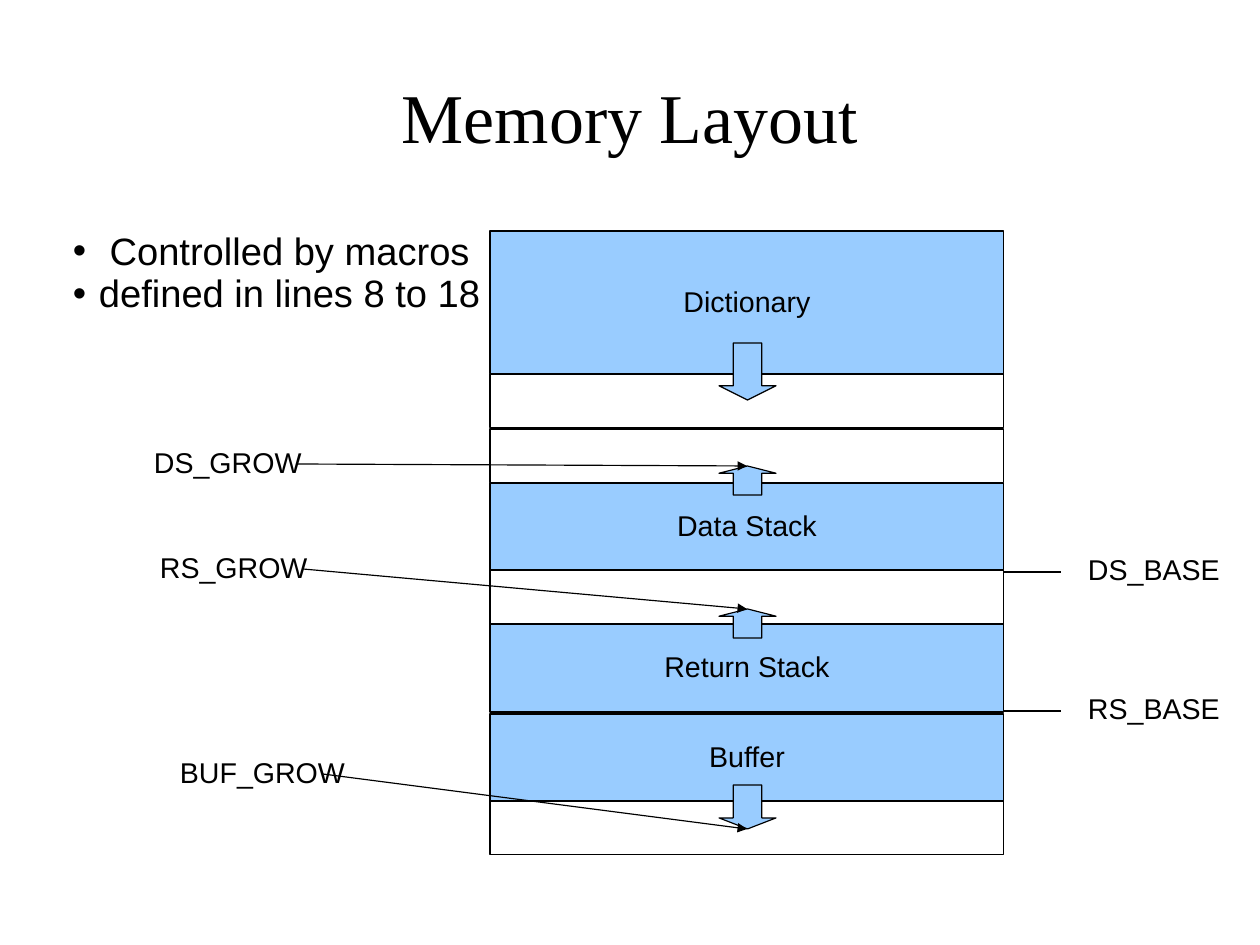
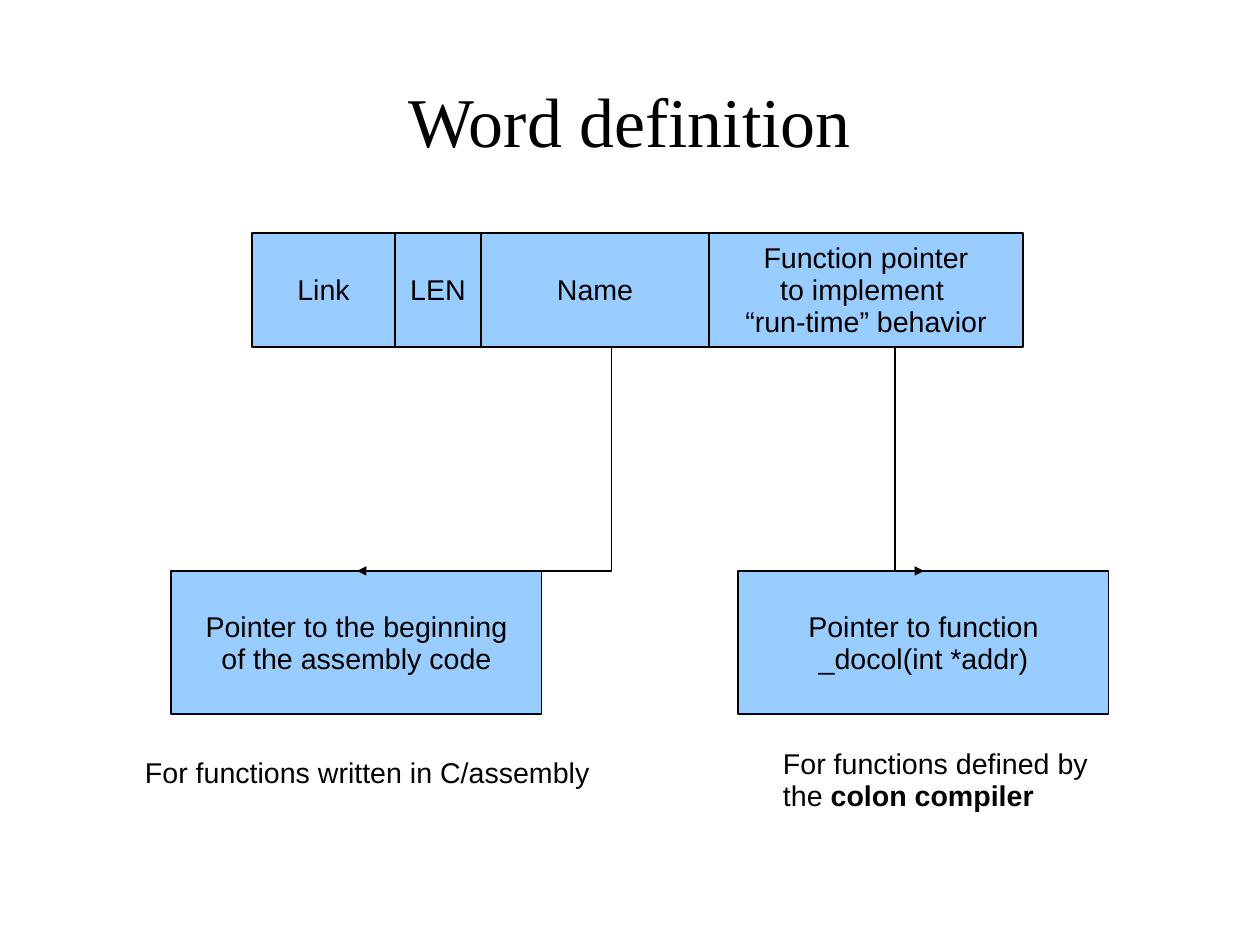
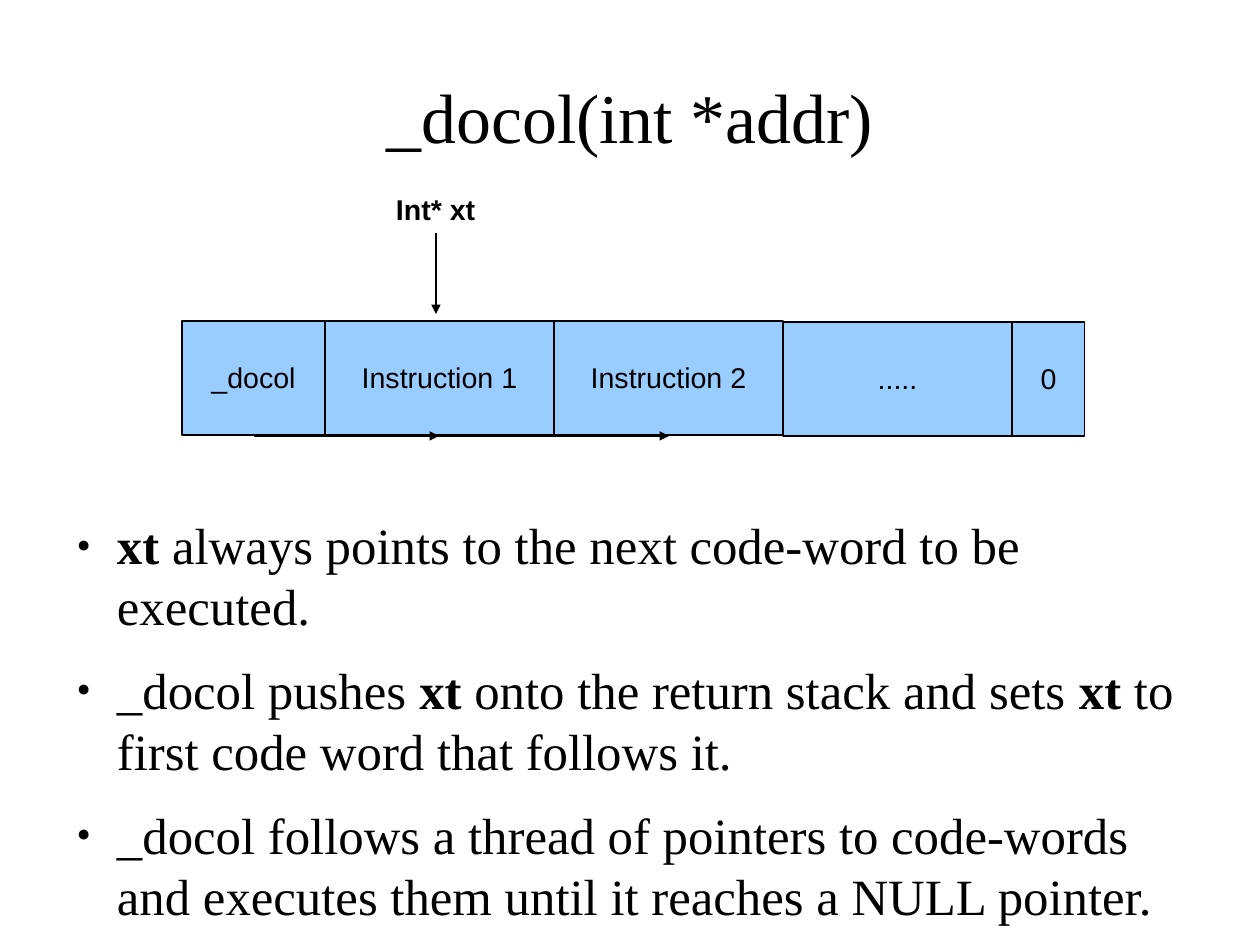
import pptx
import pptx.dml.color
import pptx.enum.shapes
import pptx.enum.text
import pptx.oxml
import pptx.oxml.ns
import pptx.util

PX = 8000
BLACK = pptx.dml.color.RGBColor(0x00, 0x00, 0x00)
WHITE = pptx.dml.color.RGBColor(0xFF, 0xFF, 0xFF)
SKY = pptx.dml.color.RGBColor(0x99, 0xCC, 0xFF)

SHAPES = pptx.enum.shapes.MSO_SHAPE
CONNECTORS = pptx.enum.shapes.MSO_CONNECTOR
CENTER = pptx.enum.text.PP_ALIGN.CENTER
LEFT = pptx.enum.text.PP_ALIGN.LEFT
MIDDLE = pptx.enum.text.MSO_ANCHOR.MIDDLE
TOP = pptx.enum.text.MSO_ANCHOR.TOP

TITLE_FONT = {"name": "Times New Roman", "size": pptx.util.Pt(44)}
BODY_FONT = {"name": "Times New Roman", "size": pptx.util.Pt(32)}
LABEL_FONT = {"name": "Arial", "size": pptx.util.Pt(18)}
NOTE_FONT = {"name": "Arial", "size": pptx.util.Pt(24)}
TIGHT = {"line_spacing": 0.93, "alignment": LEFT}
TIGHT_CENTER = {"line_spacing": 0.93, "alignment": CENTER}
LABEL_INSETS = (11, 6, 11, 6)
CELL_INSETS = (11, 8, 11, 6)


def px(*lengths):
    """Turn px lengths into EMU."""
    return [pptx.util.Emu(length * PX) for length in lengths]


def assign(target, formats):
    """Set every attribute named in a dict of format values."""
    for name, value in formats.items():
        setattr(target, name, value)


def append_xml(parent, tag, attributes="", content=""):
    """Append one drawing element to a parent element."""
    namespace = pptx.oxml.ns.nsdecls("a")
    parent.append(pptx.oxml.parse_xml(f"<a:{tag} {namespace} {attributes}>{content}</a:{tag}>"))


def set_bullet(paragraph, typeface, glyph, percent, margin, indent):
    """Give a paragraph a bullet and a hanging indent."""
    properties = paragraph._p.get_or_add_pPr()
    properties.set("marL", str(margin * PX))
    properties.set("indent", str(-indent * PX))
    append_xml(properties, "buClr", content=f'<a:srgbClr val="{BLACK}"/>')
    append_xml(properties, "buSzPct", f'val="{percent * 1000}"')
    append_xml(properties, "buFont", f'typeface="{typeface}"')
    append_xml(properties, "buChar", f'char="{glyph}"')


def write_text(shape, lines, font, layout, insets, anchor, wrap=False, bullet=None):
    """Fill a shape with paragraphs; text between double asterisks is bold."""
    frame = shape.text_frame
    sides = ("margin_left", "margin_top", "margin_right", "margin_bottom")
    assign(frame, dict(zip(sides, px(*insets))))
    assign(frame, {"word_wrap": wrap, "vertical_anchor": anchor})
    for number, line in enumerate(lines):
        paragraph = frame.add_paragraph() if number else frame.paragraphs[0]
        assign(paragraph, layout)
        if bullet:
            set_bullet(paragraph, font["name"], **bullet)
        for index, part in enumerate(line.split("**")):
            if part:
                run = paragraph.add_run()
                run.text = part
                assign(run.font, {**font, "bold": index % 2 == 1})
                run.font.color.rgb = BLACK


def add_text(slide, box, lines, font=LABEL_FONT, layout=TIGHT, insets=LABEL_INSETS,
             anchor=TOP, **options):
    """Add a text box."""
    shape = slide.shapes.add_textbox(*px(*box))
    write_text(shape, lines, font, layout, insets, anchor, **options)


def add_block(slide, box, lines=(), fill=SKY, preset=SHAPES.RECTANGLE, insets=CELL_INSETS):
    """Add an outlined preset shape with centred text."""
    shape = slide.shapes.add_shape(preset, *px(*box))
    shape.shadow.inherit = False
    shape.fill.solid()
    shape.fill.fore_color.rgb = fill
    shape.line.color.rgb = BLACK
    shape.line.width = pptx.util.Pt(0.75)
    if lines:
        write_text(shape, lines, LABEL_FONT, TIGHT_CENTER, insets, MIDDLE)
    return shape


def add_line(slide, start, end, arrow=True, kind=CONNECTORS.STRAIGHT):
    """Add a black connector, by default with an arrowhead at its end."""
    connector = slide.shapes.add_connector(kind, *px(*start, *end))
    connector.line.color.rgb = BLACK
    connector.line.width = pptx.util.Pt(0.75)
    if arrow:
        append_xml(connector.line._get_or_add_ln(), "tailEnd", 'type="triangle"')
    append_xml(connector._element.spPr, "effectLst")


def add_title(slide, text, top=43, inset=0, spacing=1.0):
    """Add the centred slide title."""
    add_text(slide, (63, top, 1134, 146), [text], TITLE_FONT,
             {"alignment": CENTER, "line_spacing": spacing},
             (0, inset, 0, 0), MIDDLE, wrap=True)


def add_cells(slide, left, top, cells):
    """Add touching cells from left to right, each a width and its lines."""
    for width, lines in cells:
        add_block(slide, (left, top, width, 114), lines)
        left += width


def add_memory_map(slide, left, top, width):
    """Add the stacked memory regions with their growth arrows."""
    regions = [
        (0, 143, "Dictionary"), (143, 54, None), (252, 88, "Data Stack"), (198, 54, None),
        (393, 88, "Return Stack"), (339, 54, None), (483, 88, "Buffer"), (570, 54, None),
    ]
    for offset, height, name in regions:
        add_block(slide, (left, top + offset, width, height), [name] if name else (),
                  SKY if name else WHITE, insets=LABEL_INSETS)
    growth = [
        (112, 57, SHAPES.DOWN_ARROW), (378, 29, SHAPES.UP_ARROW),
        (235, 29, SHAPES.UP_ARROW), (554, 44, SHAPES.DOWN_ARROW),
    ]
    for offset, height, preset in growth:
        arrow = add_block(slide, (left + width // 2 - 28, top + offset, 57, height), preset=preset)
        arrow.adjustments[0], arrow.adjustments[1] = 0.5, 0.25


def add_pointer_labels(slide, left, top, width):
    """Add the labels beside the memory map and the lines to it."""
    right, middle = left + width, left + width // 2
    for name, offset in (("DS_BASE", 341), ("RS_BASE", 480)):
        add_line(slide, (right, top + offset), (right + 57, top + offset), arrow=False)
        add_text(slide, (right + 73, top + offset - 23, 156, 44), [name])
    pointers = [
        ("DS_GROW", 143, 172, 211, 298, 235, 233),
        ("RS_GROW", 149, 172, 316, 303, 378, 338),
        ("BUF_GROW", 169, 190, 521, 323, 598, 543),
    ]
    for name, label_left, label_width, offset, start, target, origin in pointers:
        add_text(slide, (label_left, top + offset, label_width, 44), [name])
        add_line(slide, (start, top + origin), (middle, top + target))


def build_memory_layout(slide):
    """Build the memory layout slide."""
    add_title(slide, "Memory Layout")
    add_memory_map(slide, 490, 231, 514)
    add_text(slide, (62, 225, 436, 96), [" Controlled by macros", "defined in lines 8 to 18"],
             NOTE_FONT, bullet={"glyph": "•", "percent": 100, "margin": 26, "indent": 26})
    add_pointer_labels(slide, 490, 231, 514)


def build_word_definition(slide):
    """Build the word definition slide."""
    add_title(slide, "Word definition", 49, 4, 0.93)
    add_cells(slide, 252, 233, [
        (143, ["Link"]), (86, ["LEN"]), (228, ["Name"]),
        (314, ["Function pointer", "to implement ", "“run-time” behavior"]),
    ])
    targets = [
        (171, ["Pointer to the beginning", "of the assembly code"]),
        (738, ["Pointer to function", "_docol(int *addr)"]),
    ]
    for left, lines in targets:
        add_block(slide, (left, 571, 371, 143), lines)
        add_line(slide, (866, 347), (left + 186, 571), kind=CONNECTORS.ELBOW)
    add_text(slide, (134, 752, 490, 44), ["For functions written in C/assembly"])
    add_text(slide, (772, 743, 345, 76), ["For functions defined by", "the **colon compiler**"])


def build_docol(slide):
    """Build the slide on the _docol function."""
    add_title(slide, "_docol(int *addr)")
    add_cells(slide, 182, 321, [
        (143, ["_docol"]), (229, ["Instruction 1"]), (229, ["Instruction 2"])])
    add_cells(slide, 783, 322, [(229, ["....."]), (73, ["0"])])
    for target in (439, 669):
        add_line(slide, (254, 436), (target, 436))
    add_text(slide, (385, 189, 125, 44), ["**Int* xt**"])
    add_line(slide, (436, 233), (436, 314))
    add_text(slide, (63, 514, 1133, 330), [
        "**xt **always points to the next code-word to be executed.",
        "_docol pushes **xt **onto the return stack and sets **xt** to first code word"
        " that follows it.",
        "_docol follows a thread of pointers to code-words and executes them until it"
        " reaches a NULL pointer.",
    ], BODY_FONT, {"space_after": pptx.util.Pt(14.3), "alignment": LEFT}, (0, 0, 0, 0),
        wrap=True, bullet={"glyph": "●", "percent": 45, "margin": 54, "indent": 40})


def main():
    """Build and save the presentation."""
    presentation = pptx.Presentation()
    presentation.slide_width, presentation.slide_height = px(1260, 945)
    for build in (build_memory_layout, build_word_definition, build_docol):
        build(presentation.slides.add_slide(presentation.slide_layouts[6]))
    presentation.save("out.pptx")


if __name__ == "__main__":
    main()
